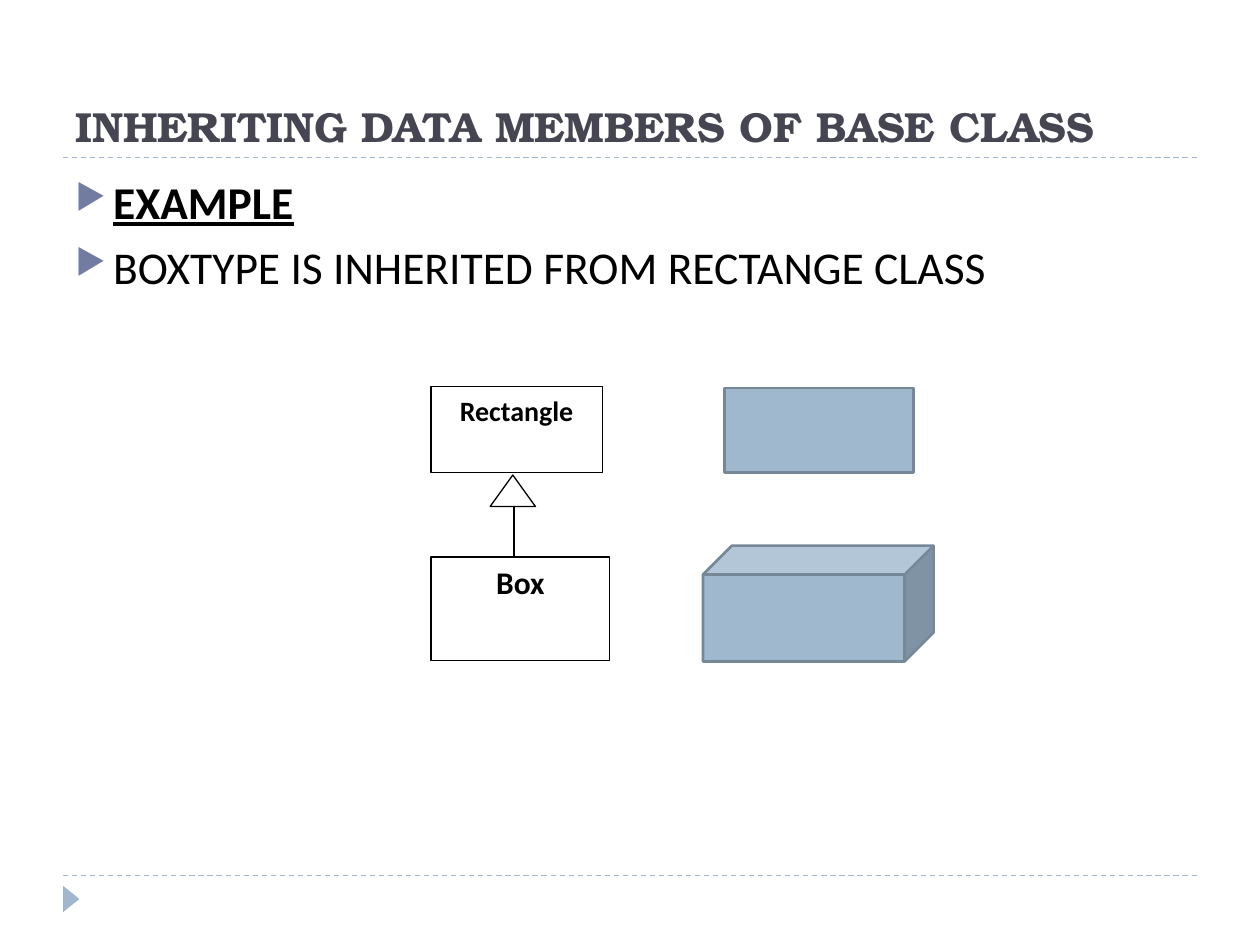
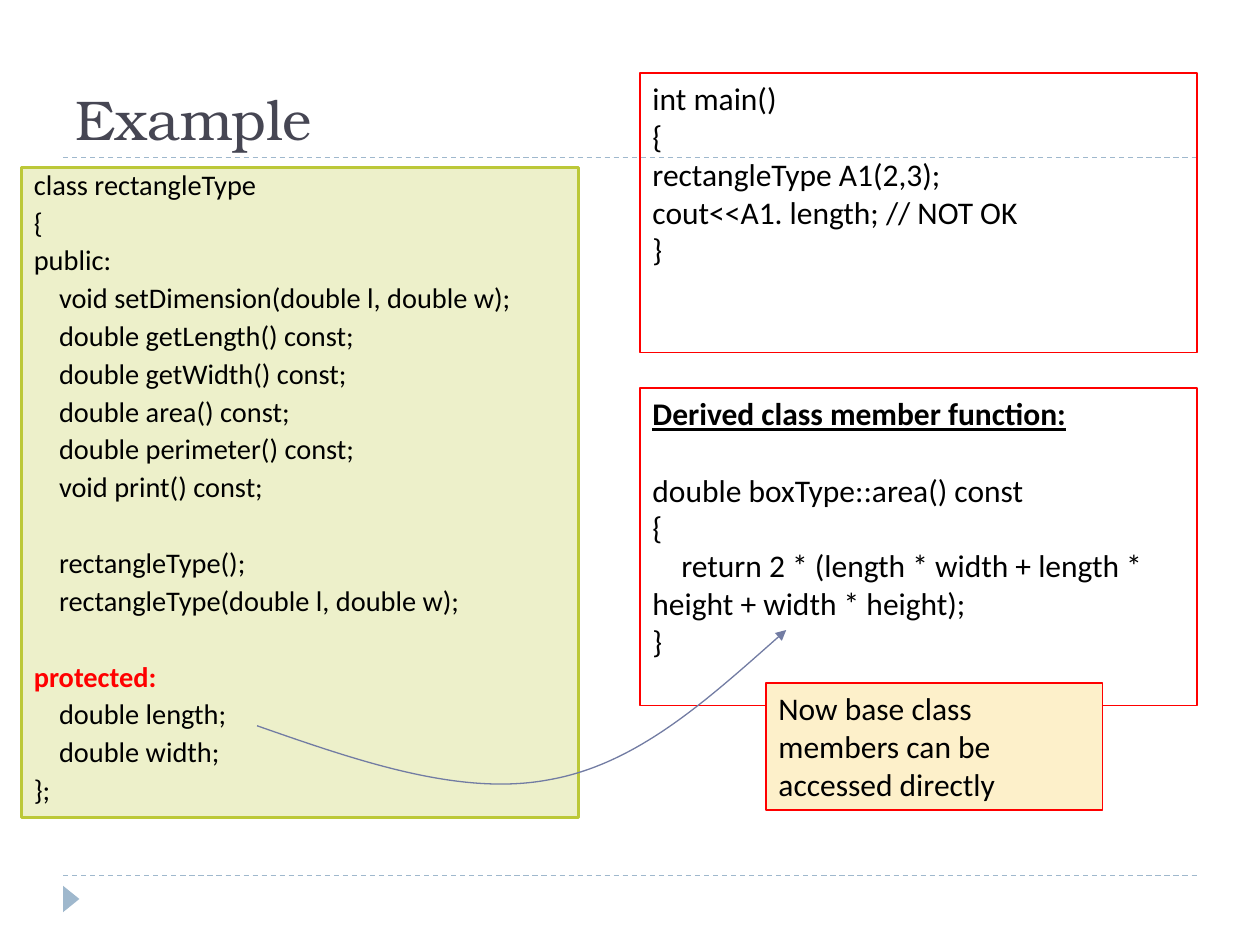
from dataclasses import dataclass
from typing import Optional

from lxml import etree
from pptx import Presentation
from pptx import slide as s
from pptx import util as u
from pptx.dml.color import RGBColor
from pptx.enum import dml, shapes, text
from pptx.oxml.ns import qn

BLACK = RGBColor(0x00, 0x00, 0x00)
WHITE = RGBColor(0xFF, 0xFF, 0xFF)
RED = RGBColor(0xFF, 0x00, 0x00)
TITLE_GREY = RGBColor(0x46, 0x46, 0x53)
VIOLET = RGBColor(0x72, 0x7C, 0xA3)
BLUE = RGBColor(0x9F, 0xB8, 0xCD)
DARK_BLUE = RGBColor(0x76, 0x88, 0x98)
PALE_GREEN = RGBColor(0xED, 0xF0, 0xCA)
GREEN = RGBColor(0xBC, 0xC8, 0x38)
CREAM = RGBColor(0xFD, 0xF0, 0xCA)

TITLE_FONT = "TeX Gyre Bonum"
BODY_FONT = "Calibri"
RULE_LEFT, RULE_RIGHT = 0.5, 9.5
RULE_HEIGHTS = (6.95, 1.25)


@dataclass(frozen=True)
class Area:
    left: float
    top: float
    width: float
    height: float

    def lengths(self) -> tuple[u.Length, ...]:
        return tuple(u.Inches(n) for n in (self.left, self.top, self.width, self.height))


@dataclass(frozen=True)
class Style:
    size: float
    font: str = BODY_FONT
    spacing: Optional[float] = None
    align: Optional[text.PP_ALIGN] = None
    after: float = 0
    bullet: bool = False


@dataclass(frozen=True)
class Line:
    """One paragraph; margin and first-line indent are in inches."""
    words: str
    before: float = 0
    margin: float = 0
    indent: float = 0
    bold: bool = False
    underline: bool = False
    color: RGBColor = BLACK


@dataclass(frozen=True)
class Figure:
    kind: shapes.MSO_SHAPE
    area: Area
    fill: Optional[RGBColor] = None
    outline: Optional[RGBColor] = None
    weight: float = 0.75
    rotation: float = 0


TITLE_AREA = Area(0.5, 0.17, 9, 1.08)
BODY_AREA = Area(0.5, 1.33, 9, 5.4)
FOOTER_MARK = Figure(shapes.MSO_SHAPE.ISOSCELES_TRIANGLE,
                     Area(0.46, 7.07, 0.21, 0.13), BLUE, rotation=90)

BULLETS = Style(26, bullet=True)
CODE = Style(18)
CLASS_CODE = Style(16.2, spacing=0.8)
CODE_GAP = 6
CODE_BLANK = 27.8
MEMBER_INDENT = 0.2


def write(frame, lines: list[Line], style: Style,
          anchor: text.MSO_ANCHOR = text.MSO_ANCHOR.TOP) -> None:
    frame.word_wrap = True
    frame.vertical_anchor = anchor
    for number, line in enumerate(lines):
        para = frame.add_paragraph() if number else frame.paragraphs[0]
        para.alignment = style.align or text.PP_ALIGN.LEFT
        para.space_before = u.Pt(line.before)
        para.space_after = u.Pt(style.after)
        if style.spacing:
            para.line_spacing = style.spacing
        settings = para._p.get_or_add_pPr()
        settings.set("marL", str(u.Inches(line.margin)))
        settings.set("indent", str(u.Inches(line.indent)))
        if style.bullet:
            tint = etree.SubElement(settings, qn("a:buClr"))
            etree.SubElement(tint, qn("a:srgbClr"), val=str(VIOLET))
            etree.SubElement(settings, qn("a:buSzPct"), val="76000")
            etree.SubElement(settings, qn("a:buChar"), char="▶")
        span = para.add_run()
        span.text = line.words
        span.font.name = style.font
        span.font.size = u.Pt(style.size)
        span.font.bold = line.bold
        span.font.underline = line.underline
        span.font.color.rgb = line.color


def add_text(page: s.Slide, area: Area, lines: list[Line], style: Style,
             anchor: text.MSO_ANCHOR = text.MSO_ANCHOR.TOP) -> None:
    box = page.shapes.add_textbox(*area.lengths())
    write(box.text_frame, lines, style, anchor)


def add_figure(page: s.Slide, figure: Figure, lines: Optional[list[Line]] = None,
               style: Style = CODE) -> None:
    shape = page.shapes.add_shape(figure.kind, *figure.area.lengths())
    shape.shadow.inherit = False
    shape.rotation = figure.rotation
    if figure.fill is None:
        shape.fill.background()
    else:
        shape.fill.solid()
        shape.fill.fore_color.rgb = figure.fill
    if figure.outline is None:
        shape.line.fill.background()
    else:
        shape.line.color.rgb = figure.outline
        shape.line.width = u.Pt(figure.weight)
    if lines:
        write(shape.text_frame, lines, style)


def add_line(page: s.Slide, start: tuple[float, float], end: tuple[float, float],
             color: RGBColor, dashed: bool = False) -> None:
    ends = [u.Inches(n) for n in (*start, *end)]
    line = page.shapes.add_connector(shapes.MSO_CONNECTOR.STRAIGHT, *ends)
    line.line.color.rgb = color
    line.line.width = u.Pt(0.75)
    if dashed:
        line.line.dash_style = dml.MSO_LINE.DASH
    etree.SubElement(line._element.spPr, qn("a:effectLst"))


def add_curved_arrow(page: s.Slide, points: list[tuple[float, float]],
                     color: RGBColor) -> None:
    """Draw a Bézier arrow from a start point and triples of control and end points."""
    corners = [(u.Inches(x), u.Inches(y)) for x, y in points]
    builder = page.shapes.build_freeform(*corners[0])
    builder.add_line_segments(corners[1:], close=False)
    curve = builder.convert_to_shape()
    curve.shadow.inherit = False
    curve.fill.background()
    curve.line.color.rgb = color
    curve.line.width = u.Pt(0.75)
    etree.SubElement(curve.line._get_or_add_ln(), qn("a:tailEnd"), type="triangle")
    outline = curve._element.xpath(".//a:path")[0]
    segments = outline.findall(qn("a:lnTo"))
    for first in range(0, len(segments), 3):
        bend = etree.SubElement(outline, qn("a:cubicBezTo"))
        for segment in segments[first:first + 3]:
            bend.append(segment[0])
            outline.remove(segment)


def add_page(deck, title: str, size: float, bold: bool = False) -> s.Slide:
    page = deck.slides.add_slide(deck.slide_layouts[6])
    for height in RULE_HEIGHTS:
        add_line(page, (RULE_LEFT, height), (RULE_RIGHT, height), BLUE, dashed=True)
    add_figure(page, FOOTER_MARK)
    add_text(page, TITLE_AREA, [Line(title, bold=bold, color=TITLE_GREY)],
             Style(size, TITLE_FONT), text.MSO_ANCHOR.BOTTOM)
    return page


def add_class_box(page: s.Slide, area: Area, name: str, size: float) -> None:
    add_figure(page, Figure(shapes.MSO_SHAPE.RECTANGLE, area, WHITE, BLACK),
               [Line(name, bold=True)],
               Style(size, align=text.PP_ALIGN.CENTER, after=10))


def add_code_box(page: s.Slide, area: Area, lines: list[Line],
                 fill: Optional[RGBColor] = None) -> None:
    add_figure(page, Figure(shapes.MSO_SHAPE.RECTANGLE, area, fill, RED), lines)


def build_inheritance(deck) -> None:
    page = add_page(deck, "INHERITING DATA MEMBERS OF BASE CLASS", 24, bold=True)
    add_text(page, BODY_AREA, [
        Line("EXAMPLE", 6, 0.3, -0.3, bold=True, underline=True),
        Line("BOXTYPE IS INHERITED FROM RECTANGE CLASS", 6, 0.3, -0.3),
    ], BULLETS)
    add_class_box(page, Area(3.42, 3.07, 1.36, 0.68), "Rectangle", 16)
    add_figure(page, Figure(shapes.MSO_SHAPE.ISOSCELES_TRIANGLE,
                            Area(3.89, 3.77, 0.36, 0.25), WHITE, BLACK))
    add_class_box(page, Area(3.42, 4.42, 1.42, 0.82), "Box", 18)
    add_line(page, (4.08, 4.02), (4.08, 4.42), BLACK)
    for kind, area in (
        (shapes.MSO_SHAPE.RECTANGLE, Area(5.75, 3.08, 1.5, 0.67)),
        (shapes.MSO_SHAPE.CUBE, Area(5.58, 4.33, 1.83, 0.92)),
    ):
        add_figure(page, Figure(kind, area, BLUE, DARK_BLUE, 1.5))


def member(words: str, before: float = CODE_GAP) -> Line:
    return Line(words, before, MEMBER_INDENT)


def build_example(deck) -> None:
    page = add_page(deck, "Example", 32)
    class_lines = [
        Line("class rectangleType", CODE_GAP),
        Line("{", CODE_GAP),
        Line("public:", CODE_GAP),
        member("void setDimension(double l, double w);"),
        member("double getLength() const;"),
        member("double getWidth() const;"),
        member("double area() const;"),
        member("double perimeter() const;"),
        member("void print() const;"),
        member("rectangleType();", CODE_BLANK),
        member("rectangleType(double l, double w);"),
        Line("protected:", CODE_BLANK, bold=True, color=RED),
        member("double length;"),
        member("double width;"),
        Line("};", CODE_GAP),
    ]
    add_figure(page, Figure(shapes.MSO_SHAPE.RECTANGLE, Area(0.17, 1.33, 4.42, 5.16),
                            PALE_GREEN, GREEN, 1.5), class_lines, CLASS_CODE)
    add_code_box(page, Area(5.08, 3.08, 4.42, 2.52), [
        Line("Derived class member function:", bold=True, underline=True),
        Line("double boxType::area() const", before=22),
        Line("{"),
        Line("return 2 * (length * width + length * height + width * height);",
             indent=0.23),
        Line("}"),
    ])
    add_curved_arrow(page, [(2.04, 5.76), (2.84, 6.04), (3.65, 6.32), (4.35, 6.19),
                            (5.05, 6.07), (5.64, 5.53), (6.24, 5)], VIOLET)
    add_code_box(page, Area(6.08, 5.42, 2.67, 1.01),
                 [Line("Now base class members can be accessed directly")], CREAM)
    main_lines = ("int main()", "{", "rectangleType A1(2,3);",
                  "cout<<A1. length; // NOT OK", "}")
    add_code_box(page, Area(5.08, 0.58, 4.42, 2.22), [Line(words) for words in main_lines])


def main() -> None:
    deck = Presentation()
    deck.slide_width = u.Inches(10)
    deck.slide_height = u.Inches(7.5)
    build_inheritance(deck)
    build_example(deck)
    deck.save("out.pptx")


if __name__ == "__main__":
    main()
